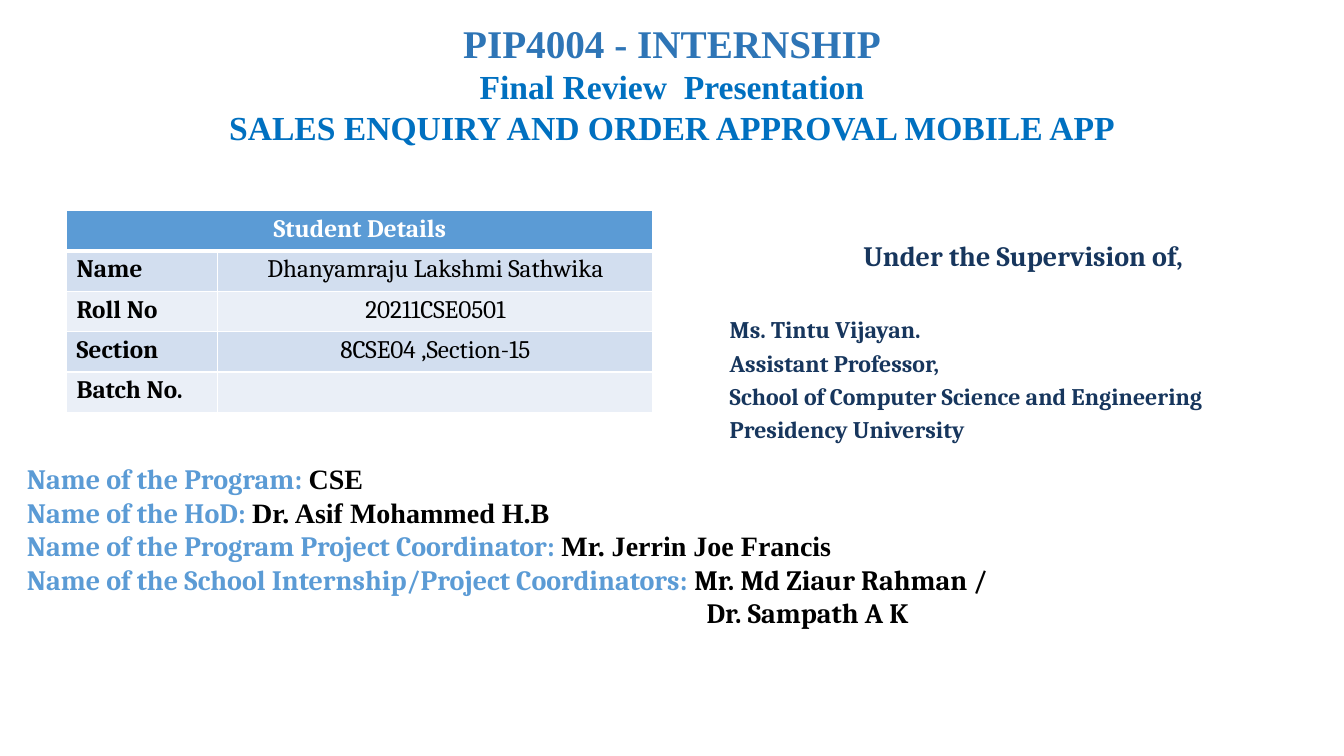
from dataclasses import dataclass

from lxml.etree import SubElement
from pptx import Presentation
from pptx.dml.color import RGBColor
from pptx.enum.text import MSO_ANCHOR, MSO_AUTO_SIZE, PP_ALIGN
from pptx.oxml.ns import qn
from pptx.util import Pt


@dataclass(frozen=True)
class Theme:
    serif: str = "Cambria"
    roman: str = "Times New Roman"
    heading: str = "2E75B6"
    subheading: str = "0070C0"
    accent: str = "5B9BD5"
    navy: str = "17365D"
    black: str = "000000"
    white: str = "FFFFFF"
    bands: tuple = ("D2DEEF", "EAEFF7")
    heading_size: int = 28
    subheading_size: int = 24
    label_size: int = 20
    cell_size: int = 18
    detail_size: int = 17


THEME = Theme()


def add_span(para, text, size, color, font=THEME.serif, bold=True):
    span = para.add_run()
    span.text = text
    span.font.name = font
    span.font.size = Pt(size)
    span.font.bold = bold
    span.font.color.rgb = RGBColor.from_string(color)


def prepare(placeholder, box):
    """Place a placeholder in its box and return its text frame."""
    placeholder.left, placeholder.top, placeholder.width, placeholder.height = map(Pt, box)
    frame = placeholder.text_frame
    frame.word_wrap = True
    frame.auto_size = MSO_AUTO_SIZE.NONE
    frame.vertical_anchor = MSO_ANCHOR.TOP
    return frame


def add_line(frame, index, align=PP_ALIGN.LEFT, before=0, indent=0):
    """Return an unbulleted paragraph with the given spacing and indent."""
    para = frame.paragraphs[0] if index == 0 else frame.add_paragraph()
    para.alignment = align
    para.space_before = Pt(before)
    properties = para._p.get_or_add_pPr()
    properties.set("marL", str(Pt(indent)))
    properties.set("indent", "0")
    SubElement(properties, qn("a:buNone"))
    return para


def fill_title(placeholder, box):
    frame = prepare(placeholder, box)
    lines = [
        ("PIP4004 - INTERNSHIP", THEME.heading_size, THEME.heading),
        ("Final Review  Presentation", THEME.subheading_size, THEME.subheading),
        ("SALES ENQUIRY AND ORDER APPROVAL MOBILE APP", THEME.subheading_size, THEME.subheading),
    ]
    for index, (text, size, color) in enumerate(lines):
        add_span(add_line(frame, index, PP_ALIGN.CENTER), text, size, color, THEME.roman)


def fill_supervisor(placeholder, box):
    frame = prepare(placeholder, box)
    heading = add_line(frame, 0, PP_ALIGN.CENTER)
    add_span(heading, "Under the Supervision of,", THEME.label_size, THEME.navy)
    details = [
        "Ms. Tintu Vijayan.",
        "Assistant Professor,",
        "School of Computer Science and Engineering",
        "Presidency University",
    ]
    for index, text in enumerate(details, 1):
        para = add_line(frame, index, before=31 if index == 1 else 3.4)
        add_span(para, text, THEME.detail_size, THEME.navy)


def fill_coordinators(placeholder, box):
    frame = prepare(placeholder, box)
    people = [
        ("Name of the Program: ", "CSE", THEME.roman),
        ("Name of the HoD: ", "Dr. Asif Mohammed H.B", THEME.roman),
        ("Name of the Program Project Coordinator: ", "Mr. Jerrin Joe Francis", THEME.roman),
        ("Name of the School Internship/Project Coordinators: ", "Mr. Md Ziaur Rahman /", THEME.serif),
        ("", "Dr. Sampath A K", THEME.serif),
    ]
    for index, (label, name, font) in enumerate(people):
        para = add_line(frame, index, indent=0 if label else 485.5)
        if label:
            add_span(para, label, THEME.label_size, THEME.accent)
        add_span(para, name, THEME.label_size, THEME.black, font)


def style_cell(cell, fill, bottom=1):
    cell.margin_top = cell.margin_bottom = Pt(3)
    properties = cell._tc.get_or_add_tcPr()
    for side, width in (("L", 1), ("R", 1), ("T", 1), ("B", bottom)):
        border = SubElement(properties, qn(f"a:ln{side}"), w=str(Pt(width)))
        SubElement(SubElement(border, qn("a:solidFill")), qn("a:srgbClr"), val=THEME.white)
    cell.fill.solid()
    cell.fill.fore_color.rgb = RGBColor.from_string(fill)


def add_student_table(page, box):
    students = [
        ("Name", "Dhanyamraju Lakshmi Sathwika"),
        ("Roll No", "20211CSE0501"),
        ("Section", "8CSE04 ,Section-15"),
        ("Batch No.", ""),
    ]
    left, top, width, height = box
    label_width = 108
    table = page.shapes.add_table(
        len(students) + 1, 2, Pt(left), Pt(top), Pt(width), Pt(height)).table
    table.columns[0].width = Pt(label_width)
    table.columns[1].width = Pt(width - label_width)

    # Heading across both columns
    for cell in table.rows[0].cells:
        style_cell(cell, THEME.accent, bottom=3)
    heading = table.cell(0, 0)
    heading.merge(table.cell(0, 1))
    para = heading.text_frame.paragraphs[0]
    para.alignment = PP_ALIGN.CENTER
    add_span(para, "Student Details", THEME.cell_size, THEME.white)

    # Banded rows of label and value
    for row, texts in enumerate(students, 1):
        for column, text in enumerate(texts):
            cell = table.cell(row, column)
            style_cell(cell, THEME.bands[(row - 1) % 2])
            para = cell.text_frame.paragraphs[0]
            para.alignment = PP_ALIGN.CENTER if column else PP_ALIGN.LEFT
            if text:
                add_span(para, text, THEME.cell_size, THEME.black, bold=column == 0)


def main():
    deck = Presentation()
    deck.slide_width, deck.slide_height = Pt(960), Pt(540)
    page = deck.slides.add_slide(deck.slide_layouts.get_by_name("Two Content"))
    title, supervisor, coordinators = page.placeholders
    fill_supervisor(supervisor, (514, 166.5, 434, 159))
    fill_coordinators(coordinators, (12, 326, 948, 123))
    fill_title(title, (66, 10, 828, 123))
    add_student_table(page, (47.5, 150.5, 419, 144))
    deck.save("out.pptx")


if __name__ == "__main__":
    main()
